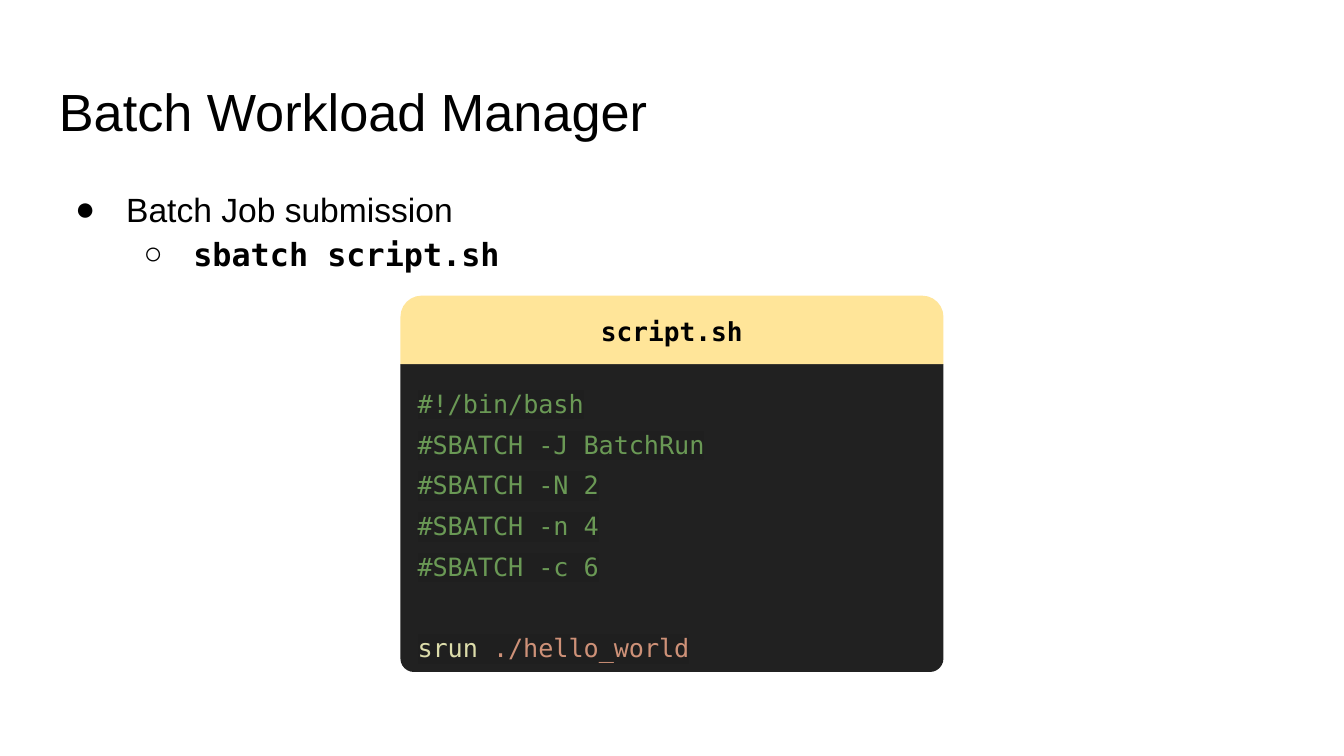
from dataclasses import dataclass

from lxml.etree import SubElement
from pptx import Presentation
from pptx.dml.color import RGBColor
from pptx.enum.shapes import MSO_SHAPE
from pptx.enum.text import PP_ALIGN, MSO_ANCHOR
from pptx.oxml.ns import qn
from pptx.oxml.xmlchemy import OxmlElement
from pptx.util import Inches, Pt


@dataclass(frozen=True)
class Theme:
    sans: str = "Arial"
    mono: str = "DejaVu Sans Mono"
    ink: str = "000000"
    header: str = "FFE599"
    panel: str = "212121"
    highlight: str = "1F1F1F"
    comment: str = "6A9955"
    command: str = "DCDCAA"
    plain: str = "CCCCCC"
    argument: str = "CE9178"
    title_size: float = 28
    body_size: float = 18
    command_size: float = 17
    header_size: float = 14
    code_size: float = 13.5
    body_spacing: float = 1.15
    code_spacing: float = 19 / 14


@dataclass(frozen=True)
class Span:
    text: str
    size: float
    font: str
    color: str
    bold: bool = False
    highlight: str = ""


@dataclass(frozen=True)
class Bullet:
    mark: str
    level: int
    left: float
    hanging: float
    span: Span


THEME = Theme()


def add_span(para, span: Span) -> None:
    run = para.add_run()
    run.text = span.text
    font = run.font
    font.size, font.name, font.bold = Pt(span.size), span.font, span.bold
    font.color.rgb = RGBColor.from_string(span.color)
    if span.highlight:
        mark = OxmlElement("a:highlight")
        SubElement(mark, qn("a:srgbClr")).set("val", span.highlight)
        run._r.rPr.find(qn("a:solidFill")).addnext(mark)


def prepare_frame(shape):
    frame = shape.text_frame
    frame.word_wrap = True
    frame.vertical_anchor = MSO_ANCHOR.TOP
    frame.margin_left = frame.margin_right = Inches(0.1)
    frame.margin_top = frame.margin_bottom = Inches(0.1)
    return frame


def add_text_box(page, top: float, height: float):
    box = page.shapes.add_textbox(Inches(0.34), Inches(top), Inches(9.32), Inches(height))
    return prepare_frame(box)


def add_panel(page, top: float, height: float, rounding: tuple[float, float], color: str):
    panel = page.shapes.add_shape(MSO_SHAPE.ROUND_2_SAME_RECTANGLE, Inches(2.98),
                                  Inches(top), Inches(4.04), Inches(height))
    panel.adjustments[0], panel.adjustments[1] = rounding
    panel.shadow.inherit = False
    panel.fill.solid()
    panel.fill.fore_color.rgb = RGBColor.from_string(color)
    panel.line.fill.background()
    return prepare_frame(panel)


def next_para(frame, index: int):
    return frame.add_paragraph() if index else frame.paragraphs[0]


def add_bullet(para, bullet: Bullet) -> None:
    para.level = bullet.level
    para.line_spacing = THEME.body_spacing
    properties = para._p.get_or_add_pPr()
    properties.set("marL", str(Inches(bullet.left)))
    properties.set("indent", str(-Inches(bullet.hanging)))
    color = SubElement(properties, qn("a:buClr"))
    SubElement(color, qn("a:srgbClr")).set("val", THEME.ink)
    SubElement(properties, qn("a:buFont")).set("typeface", THEME.sans)
    SubElement(properties, qn("a:buChar")).set("char", bullet.mark)
    add_span(para, bullet.span)


def code(text: str, color: str) -> Span:
    return Span(text, THEME.code_size, THEME.mono, color, highlight=THEME.highlight)


def main() -> None:
    # Widescreen deck, 16 to 9
    deck = Presentation()
    deck.slide_width = Inches(10)
    deck.slide_height = Inches(10) * 9 // 16
    page = deck.slides.add_slide(deck.slide_layouts[6])

    # Title
    title = add_text_box(page, 0.49, 0.63)
    add_span(title.paragraphs[0],
             Span("Batch Workload Manager", THEME.title_size, THEME.sans, THEME.ink))

    # Bullets
    bullets = [
        Bullet("●", 0, 0.5, 0.38,
               Span("Batch Job submission", THEME.body_size, THEME.sans, THEME.ink)),
        Bullet("○", 1, 1, 0.37,
               Span("sbatch script.sh", THEME.command_size, THEME.mono, THEME.ink, True)),
    ]
    body = add_text_box(page, 1.26, 1.01)
    for index, bullet in enumerate(bullets):
        add_bullet(next_para(body, index), bullet)

    # Script listing
    directives = ["#!/bin/bash", "#SBATCH -J BatchRun", "#SBATCH -N 2",
                  "#SBATCH -n 4", "#SBATCH -c 6"]
    lines = [[code(text, THEME.comment)] for text in directives]
    lines.append([code("srun", THEME.command), code(" ", THEME.plain),
                  code("./hello_world", THEME.argument)])
    listing = add_panel(page, 2.71, 2.29, (0, 0.044), THEME.panel)
    for index, spans in enumerate(lines):
        para = next_para(listing, index)
        para.alignment = PP_ALIGN.LEFT
        para.line_spacing = THEME.code_spacing
        for span in spans:
            add_span(para, span)
    listing.paragraphs[-1].space_before = Pt(21.8)  # sets the command apart

    # Script file name
    header = add_panel(page, 2.2, 0.51, (0.308, 0), THEME.header)
    header.paragraphs[0].alignment = PP_ALIGN.CENTER
    add_span(header.paragraphs[0],
             Span("script.sh", THEME.header_size, THEME.mono, THEME.ink, True))

    deck.save("out.pptx")


if __name__ == "__main__":
    main()
